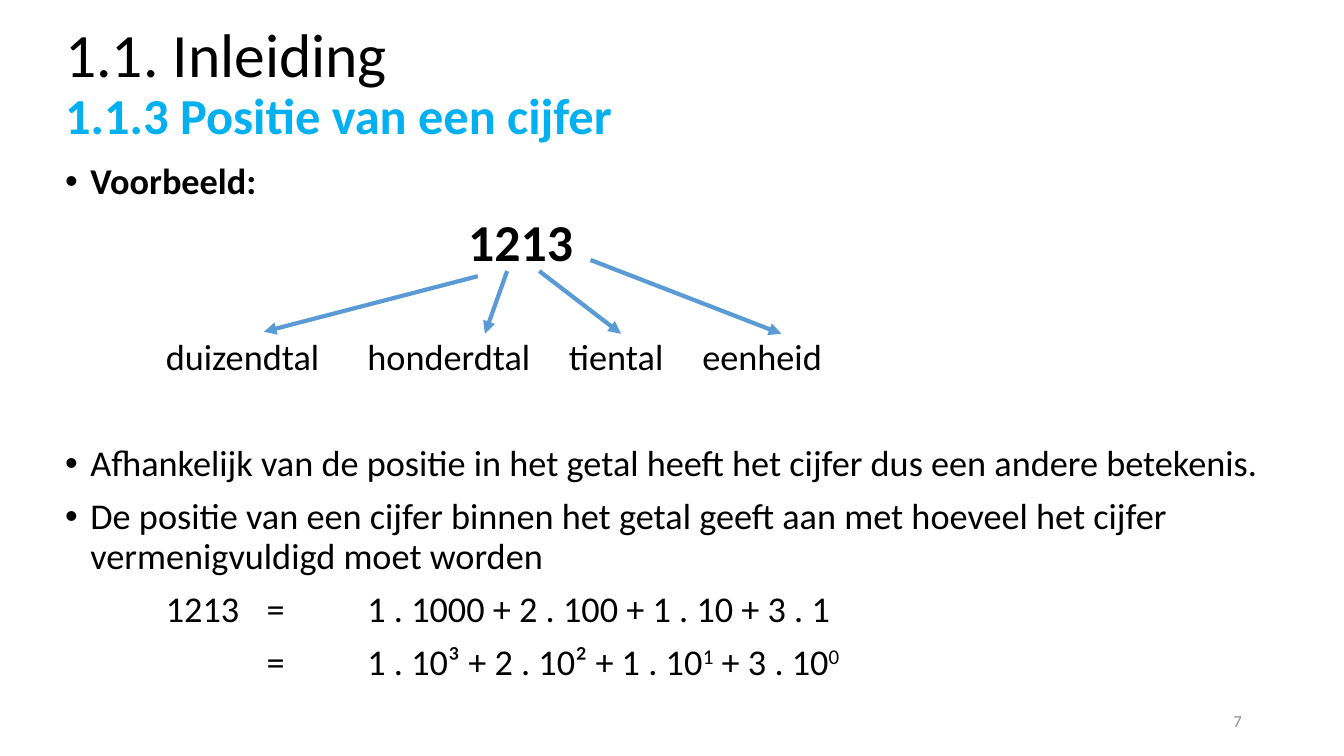
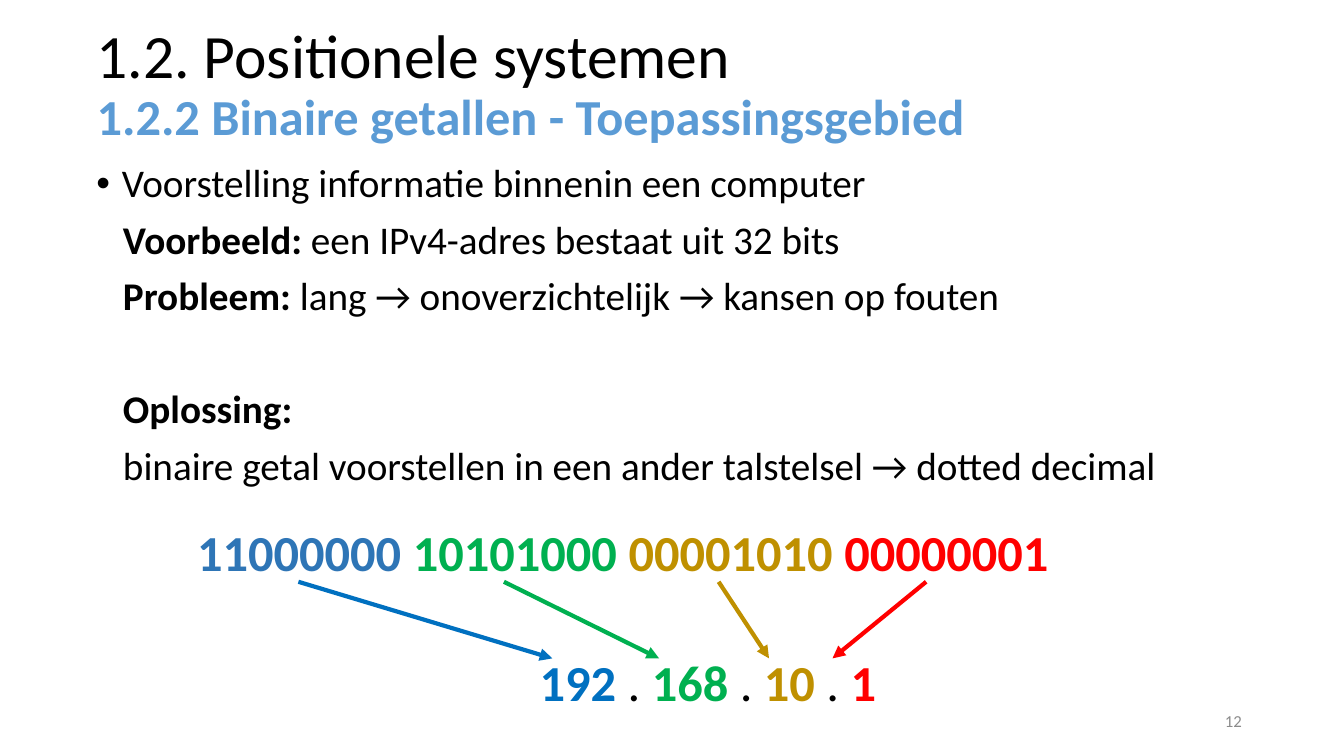
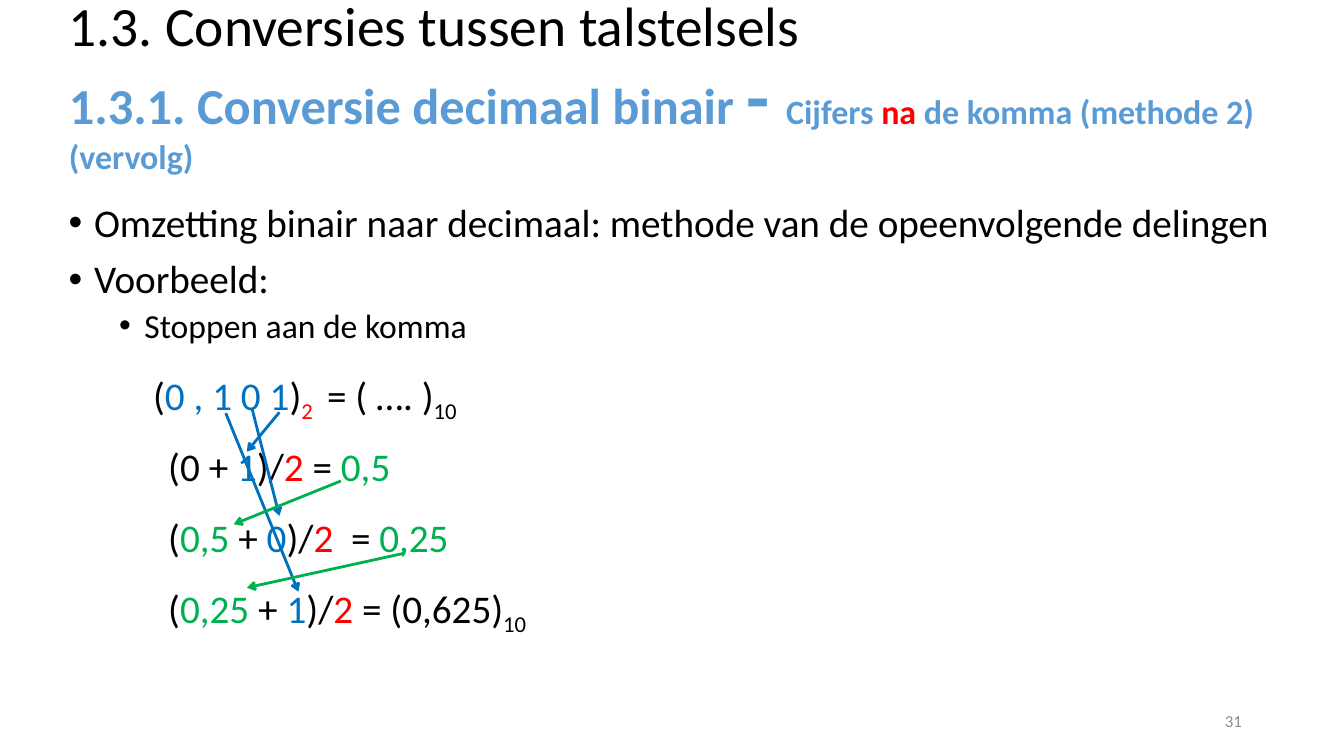
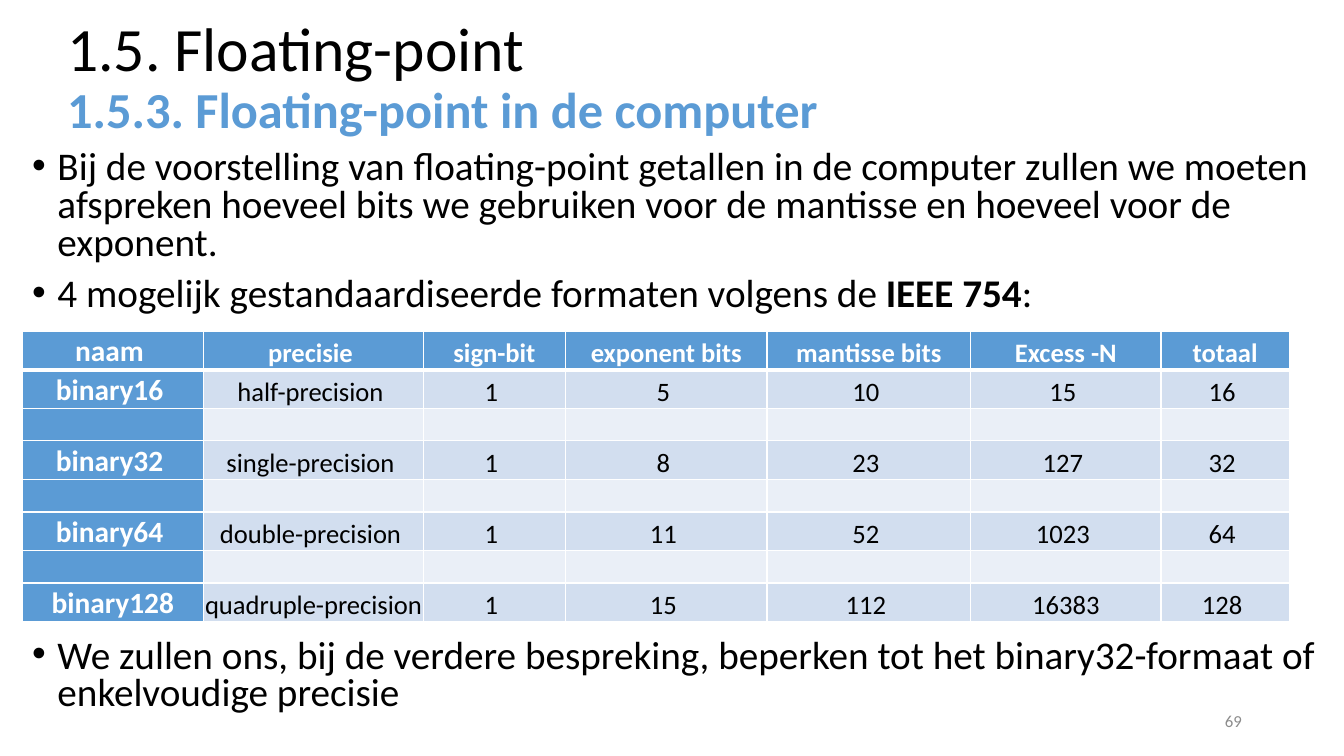
from dataclasses import dataclass

from lxml import etree
from pptx import Presentation
from pptx.dml.color import RGBColor
from pptx.enum.shapes import MSO_CONNECTOR
from pptx.enum.text import MSO_ANCHOR, MSO_AUTO_SIZE, PP_ALIGN
from pptx.oxml.ns import qn
from pptx.util import Cm, Pt

STRAIGHT = MSO_CONNECTOR.STRAIGHT
TOP, MIDDLE, BOTTOM = MSO_ANCHOR.TOP, MSO_ANCHOR.MIDDLE, MSO_ANCHOR.BOTTOM
LEFT, CENTER, RIGHT = PP_ALIGN.LEFT, PP_ALIGN.CENTER, PP_ALIGN.RIGHT
NO_FIT = MSO_AUTO_SIZE.NONE

BLACK = RGBColor(0x00, 0x00, 0x00)
WHITE = RGBColor(0xFF, 0xFF, 0xFF)
GREY = RGBColor(0x8C, 0x8C, 0x8C)
ACCENT = RGBColor(0x5B, 0x9B, 0xD5)
CYAN = RGBColor(0x00, 0xB0, 0xF0)
DARK_BLUE = RGBColor(0x2E, 0x75, 0xB6)
BLUE = RGBColor(0x00, 0x70, 0xC0)
GREEN = RGBColor(0x00, 0xB0, 0x50)
GOLD = RGBColor(0xBF, 0x90, 0x00)
RED = RGBColor(0xFF, 0x00, 0x00)
BAND_DARK = RGBColor(0xD2, 0xDE, 0xEF)
BAND_LIGHT = RGBColor(0xEA, 0xEF, 0xF7)

FONT = "Calibri"
HANG = 0.64
TAB = 2.54


@dataclass
class Run:
    text: str
    color: RGBColor = BLACK
    bold: bool = False
    size: float | None = None
    baseline: int = 0
    tracking: float = 0


@dataclass
class Para:
    runs: list[Run]
    size: float = 28
    bullet: bool = False
    margin: float = 0
    before: float = 10
    spacing: float = 0.9
    align: PP_ALIGN = LEFT


@dataclass
class Box:
    left: float
    top: float
    width: float
    height: float


@dataclass
class Arrow:
    x1: float
    y1: float
    x2: float
    y2: float
    color: RGBColor = ACCENT


def add_run(p, run: Run, size: float) -> None:
    r = p.add_run()
    r.text = run.text
    r.font.name = FONT
    r.font.size = Pt(run.size or size)
    r.font.bold = run.bold
    r.font.color.rgb = run.color
    rPr = r._r.get_or_add_rPr()
    if run.baseline:
        rPr.set("baseline", str(run.baseline * 1000))
    if run.tracking:
        rPr.set("spc", str(round(run.tracking * 100)))


def fill_para(p, para: Para) -> None:
    p.alignment = para.align
    p.line_spacing = para.spacing
    p.space_before = Pt(para.before)
    pPr = p._p.get_or_add_pPr()
    pPr.set("marL", str(Cm(para.margin)))
    pPr.set("indent", str(Cm(-HANG if para.bullet else 0)))
    pPr.set("defTabSz", str(Cm(TAB)))
    if para.bullet:
        etree.SubElement(pPr, qn("a:buFont"), typeface="Arial")
        etree.SubElement(pPr, qn("a:buChar"), char="•")
    for run in para.runs:
        add_run(p, run, para.size)


def add_text(slide, box: Box, paras: list[Para], anchor: MSO_ANCHOR = TOP) -> None:
    sp = slide.shapes.add_textbox(Cm(box.left), Cm(box.top), Cm(box.width), Cm(box.height))
    tf = sp.text_frame
    tf.word_wrap = True
    tf.vertical_anchor = anchor
    for i, para in enumerate(paras):
        fill_para(tf.add_paragraph() if i else tf.paragraphs[0], para)


def add_slide(prs, box: Box, heading: Run, subtitle: list[Run], number: int):
    slide = prs.slides.add_slide(prs.slide_layouts[5])
    sp = slide.shapes.title
    sp.left, sp.top, sp.width, sp.height = Cm(box.left), Cm(box.top), Cm(box.width), Cm(box.height)
    tf = sp.text_frame
    tf.word_wrap = True
    tf.auto_size = NO_FIT
    tf.vertical_anchor = MIDDLE
    p = tf.paragraphs[0]
    fill_para(p, Para([heading], size=44, before=0))
    p.add_line_break()
    etree.SubElement(p._p[-1], qn("a:rPr"), sz=str(round((heading.size or 44) * 100)))
    for run in subtitle:
        add_run(p, run, 36)
    add_text(slide, Box(23.93, 17.65, 7.62, 1.02),
             [Para([Run(str(number), GREY)], size=12, before=0, spacing=1, align=RIGHT)], MIDDLE)
    return slide


def add_arrows(slide, arrows: list[Arrow], width: float = 3, head: str = "triangle") -> None:
    for a in arrows:
        c = slide.shapes.add_connector(STRAIGHT, Cm(a.x1), Cm(a.y1), Cm(a.x2), Cm(a.y2))
        c.line.color.rgb = a.color
        c.line.width = Pt(width)
        etree.SubElement(c.line._get_or_add_ln(), qn("a:tailEnd"), type=head)
        etree.SubElement(c.element.spPr, qn("a:effectLst"))


def format_cell(cell, text: str, fill: RGBColor, color: RGBColor, bold: bool,
                size: float, bottom: float) -> None:
    tcPr = cell._tc.get_or_add_tcPr()
    for side, width in (("L", 1), ("R", 1), ("T", 1), ("B", bottom)):
        ln = etree.SubElement(tcPr, qn(f"a:ln{side}"), w=str(Pt(width)))
        solid = etree.SubElement(ln, qn("a:solidFill"))
        etree.SubElement(solid, qn("a:srgbClr"), val=str(WHITE))
    cell.fill.solid()
    cell.fill.fore_color.rgb = fill
    cell.margin_left = cell.margin_right = cell.margin_top = cell.margin_bottom = 0
    cell.vertical_anchor = BOTTOM
    if text:
        fill_para(cell.text_frame.paragraphs[0],
                  Para([Run(text, color, bold)], size=size, before=0, spacing=1.07, align=CENTER))


def add_format_table(slide, left: float, top: float, widths: list[float],
                     rows: list[list[str]]) -> None:
    heights = [0.98 if row else 0.81 for row in rows]
    table = slide.shapes.add_table(len(rows), len(widths), Cm(left), Cm(top),
                                   Cm(sum(widths)), Cm(sum(heights))).table
    for col, width in zip(table.columns, widths):
        col.width = Cm(width)
    for i, texts in enumerate(rows):
        table.rows[i].height = Cm(heights[i])
        band = BAND_DARK if texts else BAND_LIGHT
        for j in range(len(widths)):
            header = i == 0 or j == 0
            format_cell(table.cell(i, j), texts[j] if texts else "",
                        ACCENT if header else band, WHITE if header else BLACK,
                        header, 19 if j else 21, 1 if i else 3)


def bullet(*runs: Run, **options) -> Para:
    return Para(list(runs), bullet=True, **{"margin": HANG, **options})


def position_slide(prs) -> None:
    slide = add_slide(prs, Box(1.39, 0.3, 29.21, 3.68), Run("1.1. Inleiding"),
                      [Run("1.1.3 Positie van een cijfer", CYAN, True)], 7)
    size = 25.9
    add_text(slide, Box(1.39, 3.99, 31.72, 14.76), [
        bullet(Run("Voorbeeld:", bold=True), size=size),
        Para([Run("1213", bold=True)], size=37, margin=4 * TAB),
        Para([Run("\tduizendtal\thonderdtal\ttiental")], size=size, before=47.8),
        bullet(Run("Afhankelijk van de positie in het getal heeft het cijfer dus een andere "
                   "betekenis."), size=size, before=47.8),
        bullet(Run("De positie van een cijfer binnen het getal geeft aan met hoeveel het cijfer "
                   "vermenigvuldigd moet worden"), size=size),
        Para([Run("\t1213\t=\t1 . 1000 + 2 . 100 + 1 . 10 + 3 . 1")], size=size),
        Para([Run("\t\t=\t1 . 10³ + 2 . 10² + 1 . 10"), Run("1", baseline=30),
              Run(" + 3 . 10"), Run("0", baseline=30)], size=size),
    ])
    add_text(slide, Box(17.45, 8.42, 4, 1.3), [Para([Run("eenheid")], size=size)])
    add_arrows(slide, [
        Arrow(12.04, 6.96, 6.65, 8.36),
        Arrow(12.78, 6.83, 12.22, 8.41),
        Arrow(13.59, 6.83, 15.65, 8.41),
        Arrow(14.88, 6.55, 19.69, 8.41),
    ])


def binary_slide(prs) -> None:
    slide = add_slide(prs, Box(2.18, 0.33, 29.21, 3.68), Run("1.2. Positionele systemen"),
                      [Run("1.2.2 Binaire getallen - Toepassingsgebied", ACCENT, True)], 12)
    dot = Run(" . ")
    indent = 0.67
    add_text(slide, Box(2.18, 4.01, 27.51, 15.04), [
        bullet(Run("Voorstelling informatie binnenin een computer")),
        Para([Run("Voorbeeld: ", bold=True), Run("een IPv4-adres bestaat uit 32 bits")],
             margin=indent),
        Para([Run("Probleem: ", bold=True), Run("lang → onoverzichtelijk → kansen op fouten")],
             margin=indent),
        Para([Run("Oplossing:", bold=True)], margin=indent, before=50.5),
        Para([Run("binaire getal voorstellen in een ander talstelsel → dotted decimal")],
             margin=indent),
        Para([Run("11000000 ", DARK_BLUE, True), Run("10101000 ", GREEN, True),
              Run("00001010 ", GOLD, True), Run("00000001", RED, True)],
             size=36, margin=TAB, before=28.4),
        Para([Run("192", BLUE, True), dot, Run("168", GREEN, True), dot,
              Run("10", GOLD, True), dot, Run("1", RED, True)],
             size=36, margin=3.81, before=53.8, align=CENTER),
    ])
    ends = [(7.52, 13.92, BLUE), (12.7, 16.61, GREEN), (18.11, 19.38, GOLD), (23.34, 20.98, RED)]
    add_arrows(slide, [Arrow(x1, 14.66, x2, 16.59, color) for x1, x2, color in ends])


def conversion_slide(prs) -> None:
    slide = add_slide(prs, Box(1.48, 0.38, 32.26, 3.68),
                      Run("1.3. Conversies tussen talstelsels", size=39.6), [
        Run("1.3.1. Conversie decimaal binair ", ACCENT, True),
        Run("- ", ACCENT, True, 54),
        Run("Cijfers ", ACCENT, True, 24.3),
        Run("na", RED, True, 24.3),
        Run(" de komma (methode 2) (vervolg)", ACCENT, True, 24.3),
    ], 31)
    add_text(slide, Box(1.48, 5, 31.47, 4), [
        bullet(Run("Omzetting binair naar decimaal: methode van de opeenvolgende delingen")),
        bullet(Run("Voorbeeld:")),
        bullet(Run("Stoppen aan de komma"), size=24, margin=1.91, before=5),
    ])
    two, ten, divide = Run("2", RED), Run("10", baseline=-25), Run(")/")
    steps = [
        [Run("("), Run("0 , 1 0 1", BLUE), Run(")"), Run("2", RED, baseline=-25),
         Run(" ", tracking=3.8), Run("= ( …. )"), ten],
        [Run("(0 +"), Run(" 1", BLUE), divide, two, Run(" = "), Run("0,5", GREEN)],
        [Run("("), Run("0,5 ", GREEN), Run("+"), Run(" 0", BLUE), divide, two,
         Run(" ", tracking=6.3), Run("= "), Run("0,25", GREEN)],
        [Run("("), Run("0,25 ", GREEN), Run("+ "), Run("1", BLUE), divide, two,
         Run(" = (0,625)"), ten],
    ]
    for i, runs in enumerate(steps):
        add_text(slide, Box(3.99 if i else 3.61, 9.22 + 1.79 * i, 10, 1.45),
                 [Para(runs, before=0, spacing=1)])
    add_arrows(slide, [
        Arrow(7.04, 10.39, 6.22, 11.38, BLUE),
        Arrow(6.35, 10.29, 7.04, 13, BLUE),
        Arrow(5.69, 10.41, 7.52, 14.91, BLUE),
        Arrow(8.59, 12.12, 5.89, 13.21, GREEN),
        Arrow(10.19, 13.94, 6.22, 14.81, GREEN),
    ], 2, "arrow")


def floating_point_slide(prs) -> None:
    slide = add_slide(prs, Box(1.44, 0.15, 29.21, 3.68), Run("1.5. Floating-point"),
                      [Run("1.5.3. Floating-point in de computer", ACCENT, True)], 69)
    add_text(slide, Box(0.56, 3.67, 33.3, 4.5), [
        bullet(Run("Bij de voorstelling van floating-point getallen in de computer zullen we "
                   "moeten afspreken hoeveel bits we gebruiken voor de mantisse en hoeveel voor "
                   "de exponent."), spacing=0.8),
        bullet(Run("4 mogelijk gestandaardiseerde formaten volgens de "),
               Run("IEEE 754", bold=True), Run(":"), spacing=0.8),
    ])
    add_format_table(slide, 0.56, 8.34, [4.57, 5.54, 3.58, 5.08, 5.13, 4.8, 3.23], [
        ["naam ", "precisie ", "sign-bit", "exponent bits", "mantisse bits", "Excess -N",
         "totaal"],
        ["binary16 ", "half-precision ", "1 ", "5 ", "10 ", "15 ", "16 "],
        [],
        ["binary32 ", "single-precision ", "1 ", "8 ", "23 ", "127 ", "32 "],
        [],
        ["binary64 ", "double-precision ", "1 ", "11 ", "52 ", "1023 ", "64 "],
        [],
        ["binary128", "quadruple-precision", "1 ", "15 ", "112 ", "16383", "128 "],
    ])
    add_text(slide, Box(0.56, 15.98, 33.3, 2.4), [
        bullet(Run("We zullen ons, bij de verdere bespreking, beperken tot het binary32-formaat "
                   "of enkelvoudige precisie"), spacing=0.8),
    ])


def main() -> None:
    prs = Presentation()
    prs.slide_width, prs.slide_height = Cm(33.87), Cm(19.05)
    position_slide(prs)
    binary_slide(prs)
    conversion_slide(prs)
    floating_point_slide(prs)
    prs.save("out.pptx")


if __name__ == "__main__":
    main()
